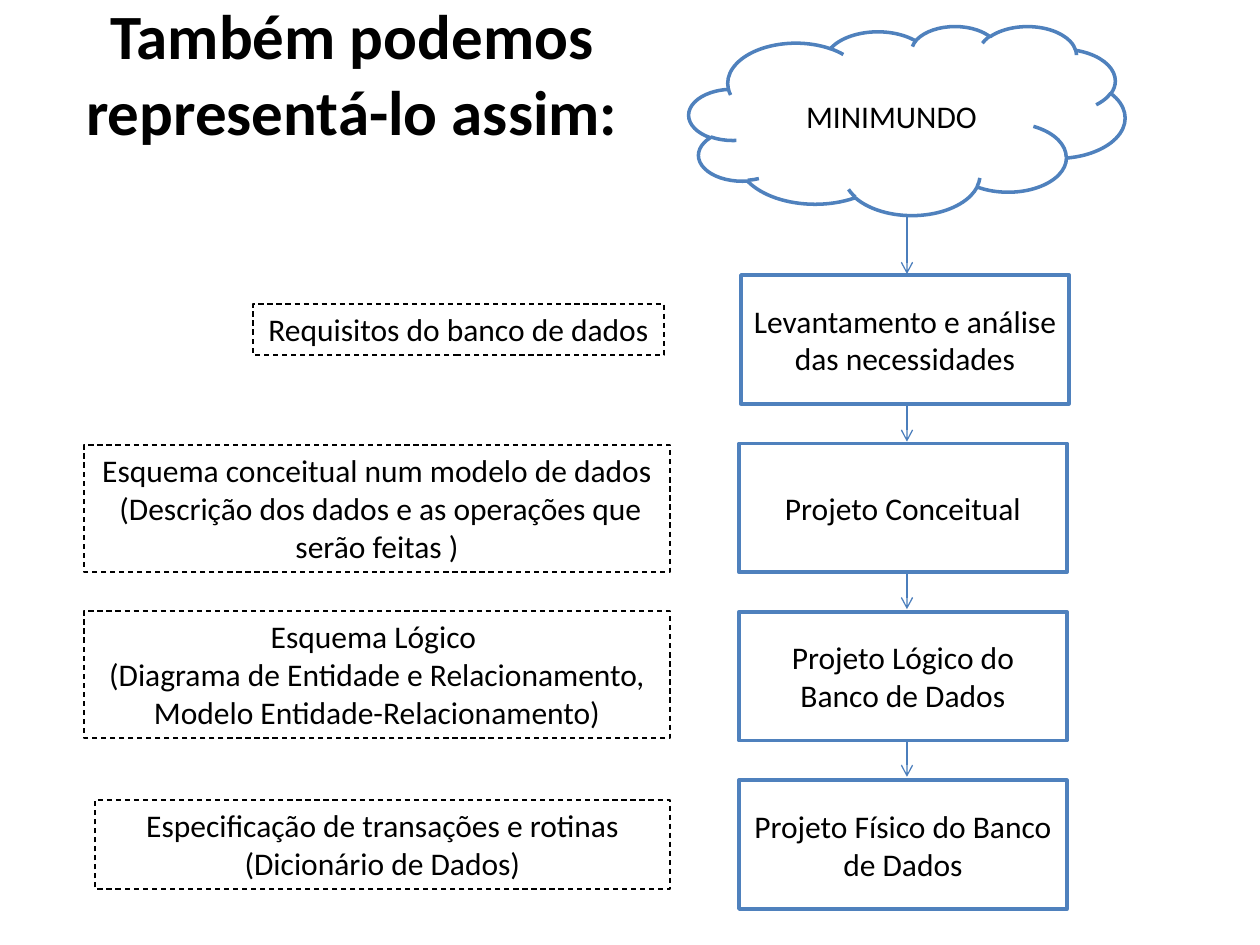
"""Build the slide that shows the database design steps as a flow."""
from lxml import etree
from pptx import Presentation
from pptx.dml.color import RGBColor
from pptx.enum.dml import MSO_LINE
from pptx.enum.shapes import MSO_CONNECTOR, MSO_SHAPE
from pptx.enum.text import MSO_ANCHOR, MSO_AUTO_SIZE, PP_ALIGN
from pptx.oxml.ns import qn
from pptx.util import Pt

CLOUD, RECT = MSO_SHAPE.CLOUD, MSO_SHAPE.RECTANGLE
LINE, DASH = MSO_CONNECTOR.STRAIGHT, MSO_LINE.DASH
MID, TOP = MSO_ANCHOR.MIDDLE, MSO_ANCHOR.TOP
FIT, FIXED = MSO_AUTO_SIZE.SHAPE_TO_FIT_TEXT, MSO_AUTO_SIZE.NONE
CENTER = PP_ALIGN.CENTER

TITLE = "Também podemos representá-lo assim:"
WORLD = "MINIMUNDO"
STEPS = [
    ("Levantamento e análise das necessidades", 741),
    ("Projeto Conceitual", 739),
    ("Projeto Lógico do Banco de Dados", 739),
    ("Projeto Físico do Banco de Dados", 739),
]
NOTES = [
    (["Requisitos do banco de dados"], (253, 304, 411, 51), False),
    (["Esquema conceitual num modelo de dados",
      " (Descrição dos dados e as operações que serão feitas )"],
     (84, 445, 586, 127), True),
    (["Esquema Lógico ", "(Diagrama de Entidade e Relacionamento,",
      "Modelo Entidade-Relacionamento)"], (84, 611, 586, 127), True),
    (["Especificação de transações e rotinas", "(Dicionário de Dados)"],
     (95, 800, 575, 89), True),
]
THEME = {
    "font": "Calibri", "head": Pt(36), "body": Pt(18),
    "ink": RGBColor(0, 0, 0), "paper": RGBColor(255, 255, 255),
    "edge": RGBColor(0x4F, 0x81, 0xBD), "flow": RGBColor(0x4B, 0x7E, 0xBC),
    "thick": Pt(2), "thin": Pt(0.75),
}
SCALE = 914400 / 126
STEP_TOP, STEP_GAP, STEP_SIZE = 275, 168.4, (328, 129)
FLOW_X, FLOW_TOP, FLOW_GAP, FLOW_LEN = 907, 195, 167.6, 79


def emu(*vals):
    return [round(v * SCALE) for v in vals]


def assign(obj, vals):
    for key, val in vals.items():
        setattr(obj, key, val)


def write(shape, paras, size, bold=False, **frame):
    text = shape.text_frame
    assign(text, {"word_wrap": True, "vertical_anchor": MID, **frame})
    text.text = "\n".join(paras)
    for para in text.paragraphs:
        para.alignment = CENTER
        for run in para.runs:
            assign(run.font, {"name": THEME["font"], "size": size, "bold": bold})
            run.font.color.rgb = THEME["ink"]


def stroke(line, color, width):
    line.color.rgb = THEME[color]
    line.width = THEME[width]


def block(kind, text, area):
    shape = slide.shapes.add_shape(kind, *emu(*area))
    shape.shadow.inherit = False
    shape.fill.solid()
    shape.fill.fore_color.rgb = THEME["paper"]
    stroke(shape.line, "edge", "thick")
    write(shape, [text], THEME["body"])


def arrow(top):
    link = slide.shapes.add_connector(
        LINE, *emu(FLOW_X, top, FLOW_X, top + FLOW_LEN))
    stroke(link.line, "flow", "thin")
    etree.SubElement(link.line._get_or_add_ln(), qn("a:tailEnd"), type="arrow")
    etree.SubElement(link._element.spPr, qn("a:effectLst"))


def note(paras, area, wrap):
    box = slide.shapes.add_textbox(*emu(*area))
    stroke(box.line, "ink", "thin")
    box.line.dash_style = DASH
    write(box, paras, THEME["body"], word_wrap=wrap,
          vertical_anchor=TOP, auto_size=FIT)


deck = Presentation()
deck.slide_width, deck.slide_height = emu(1260, 945)
slide = deck.slides.add_slide(deck.slide_layouts[5])
title = slide.shapes.title
assign(title, dict(zip(("left", "top", "width", "height"),
                       emu(-5, -14, 714, 173))))
write(title, [TITLE], THEME["head"], bold=True, auto_size=FIXED)

for row in reversed(range(len(STEPS))):
    arrow(FLOW_TOP + row * FLOW_GAP)
block(CLOUD, WORLD, (689, 26, 436, 189))
for row, (text, left) in enumerate(STEPS):
    block(RECT, text, (left, STEP_TOP + row * STEP_GAP, *STEP_SIZE))
for item in NOTES:
    note(*item)

deck.save("out.pptx")
